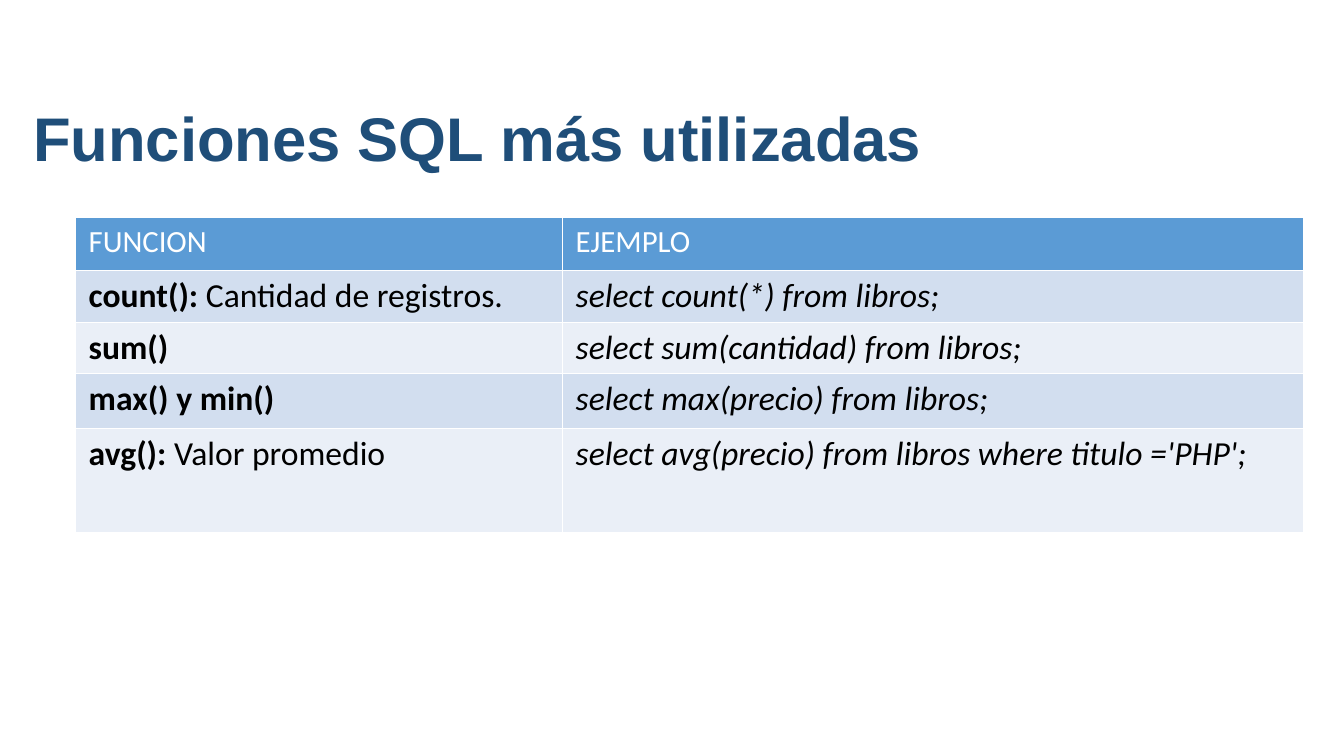
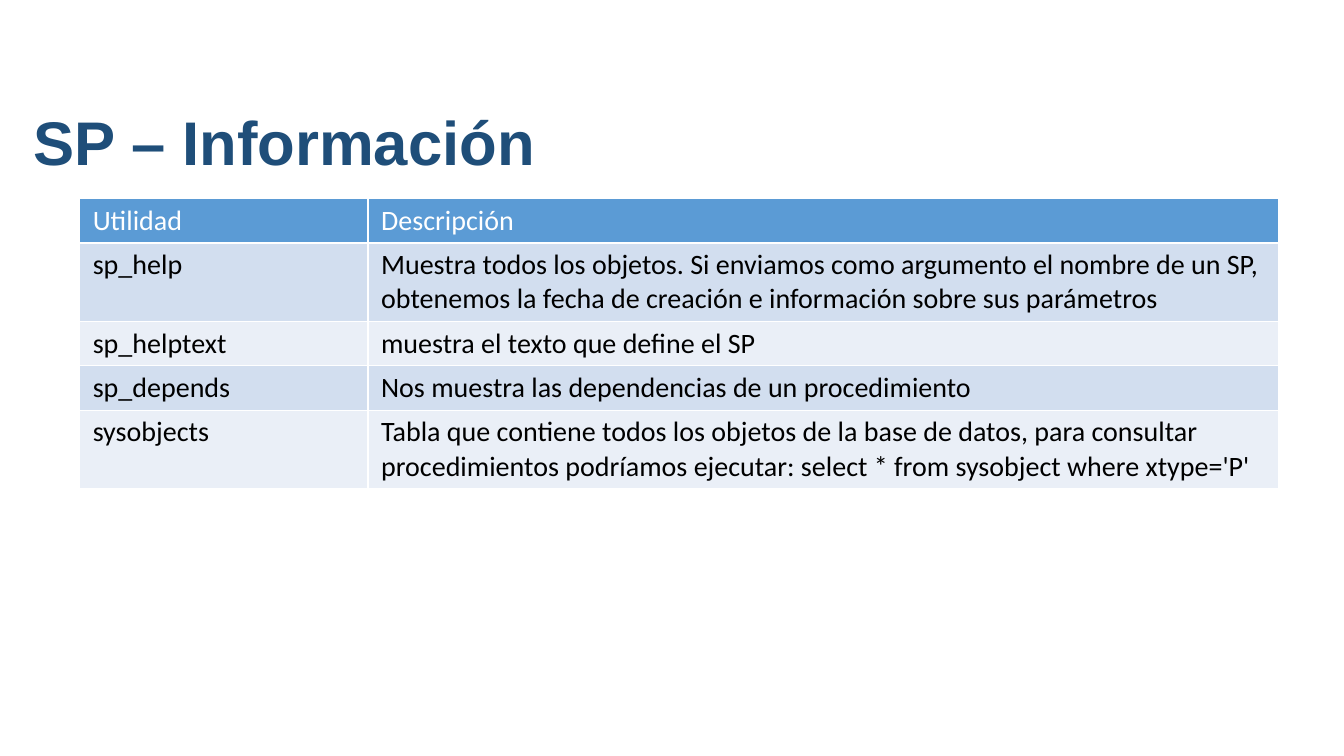
from dataclasses import dataclass

from pptx import Presentation
from pptx.dml.color import RGBColor
from pptx.enum.text import MSO_ANCHOR
from pptx.util import Inches, Pt

MIDDLE = MSO_ANCHOR.MIDDLE
BLANK_LAYOUT = 6


@dataclass(frozen=True)
class Theme:
    width: float = 13.33
    height: float = 7.5
    title_font: str = "Arial"
    body_font: str = "Calibri"
    title_size: int = 44
    title_color: str = "1F4E79"
    header_color: str = "FFFFFF"
    body_color: str = "000000"
    header_fill: str = "5B9BD5"
    band_fills: tuple = ("D2DEEF", "EAEFF7")
    cell_inset_x: float = 0.13
    cell_inset_y: float = 0.05


THEME = Theme()


def add_run(paragraph, text, *, size, color, font=THEME.body_font,
            bold=False, italic=False):
    """Append text to a paragraph with an explicit format."""
    run = paragraph.add_run()
    run.text = text
    run.font.name = font
    run.font.size = Pt(size)
    run.font.bold = bold
    run.font.italic = italic
    run.font.color.rgb = RGBColor.from_string(color)


def add_title(slide, text, top):
    box = slide.shapes.add_textbox(Inches(0.23), Inches(top),
                                   Inches(12.46), Inches(1.25))
    frame = box.text_frame
    frame.word_wrap = True
    frame.vertical_anchor = MIDDLE
    heading = frame.paragraphs[0]
    heading.line_spacing = 0.9
    add_run(heading, text, font=THEME.title_font, size=THEME.title_size,
            color=THEME.title_color, bold=True)


def fill_cell(cell, parts, fill, size, color):
    """Write (text, format) parts into a cell on a solid fill."""
    cell.fill.solid()
    cell.fill.fore_color.rgb = RGBColor.from_string(fill)
    cell.margin_left = cell.margin_right = Inches(THEME.cell_inset_x)
    cell.margin_top = cell.margin_bottom = Inches(THEME.cell_inset_y)
    for text, emphasis in parts:
        add_run(cell.text_frame.paragraphs[0], text,
                size=size, color=color, **emphasis)


def add_banded_table(slide, left, top, columns, heights, header, rows,
                     header_size, body_size):
    """Add a table with a coloured header and alternating row fills."""
    table = slide.shapes.add_table(
        len(heights), len(columns), Inches(left), Inches(top),
        Inches(sum(columns)), Inches(sum(heights))).table
    for column, width in zip(table.columns, columns):
        column.width = Inches(width)
    for row, height in zip(table.rows, heights):
        row.height = Inches(height)

    for cell, label in zip(table.rows[0].cells, header):
        fill_cell(cell, [plain(label)], THEME.header_fill, header_size,
                  THEME.header_color)
    for index, contents in enumerate(rows):
        band = THEME.band_fills[index % len(THEME.band_fills)]
        for cell, parts in zip(table.rows[index + 1].cells, contents):
            fill_cell(cell, parts, band, body_size, THEME.body_color)


# Text parts
def plain(text):
    return text, {}


def strong(text):
    return text, {"bold": True}


def example(text):
    return text, {"italic": True}


# Slides
def build_functions_slide(slide):
    add_title(slide, "Funciones SQL más utilizadas", top=0.78)
    functions = [
        ([strong("count(): "), plain("Cantidad de registros.")],
         "select count(*) from libros;"),
        ([strong("sum()")], "select sum(cantidad) from libros;"),
        ([strong("max() y min()")], "select max(precio) from libros;"),
        ([strong("avg(): "), plain("Valor promedio")],
         "select avg(precio) from libros where titulo ='PHP';"),
    ]
    add_banded_table(
        slide, 0.75, 2.16, columns=(4.83, 7.35),
        heights=(0.52, 0.52, 0.51, 0.54, 1.04),
        header=("FUNCION", "EJEMPLO"),
        rows=[(name, [example(query)]) for name, query in functions],
        header_size=22, body_size=24)


def build_procedures_slide(slide):
    add_title(slide, "SP – Información", top=0.82)
    utilities = [
        ("sp_help", "Muestra todos los objetos. Si enviamos como argumento el "
         "nombre de un SP, obtenemos la fecha de creación e información "
         "sobre sus parámetros"),
        ("sp_helptext", "muestra el texto que define el SP"),
        ("sp_depends", "Nos muestra las dependencias de un procedimiento"),
        ("sysobjects", "Tabla que contiene todos los objetos de la base de "
         "datos, para consultar procedimientos podríamos ejecutar: "
         "select * from sysobject where xtype='P'"),
    ]
    one_line, two_lines = 0.44, 0.78
    add_banded_table(
        slide, 0.79, 1.97, columns=(2.86, 9.03),
        heights=(one_line, two_lines, one_line, one_line, two_lines),
        header=("Utilidad", "Descripción"),
        rows=[[[plain(text)] for text in row] for row in utilities],
        header_size=20, body_size=20)


def main():
    deck = Presentation()
    deck.slide_width = Inches(THEME.width)
    deck.slide_height = Inches(THEME.height)
    for build in (build_functions_slide, build_procedures_slide):
        build(deck.slides.add_slide(deck.slide_layouts[BLANK_LAYOUT]))
    deck.save("out.pptx")


if __name__ == "__main__":
    main()
